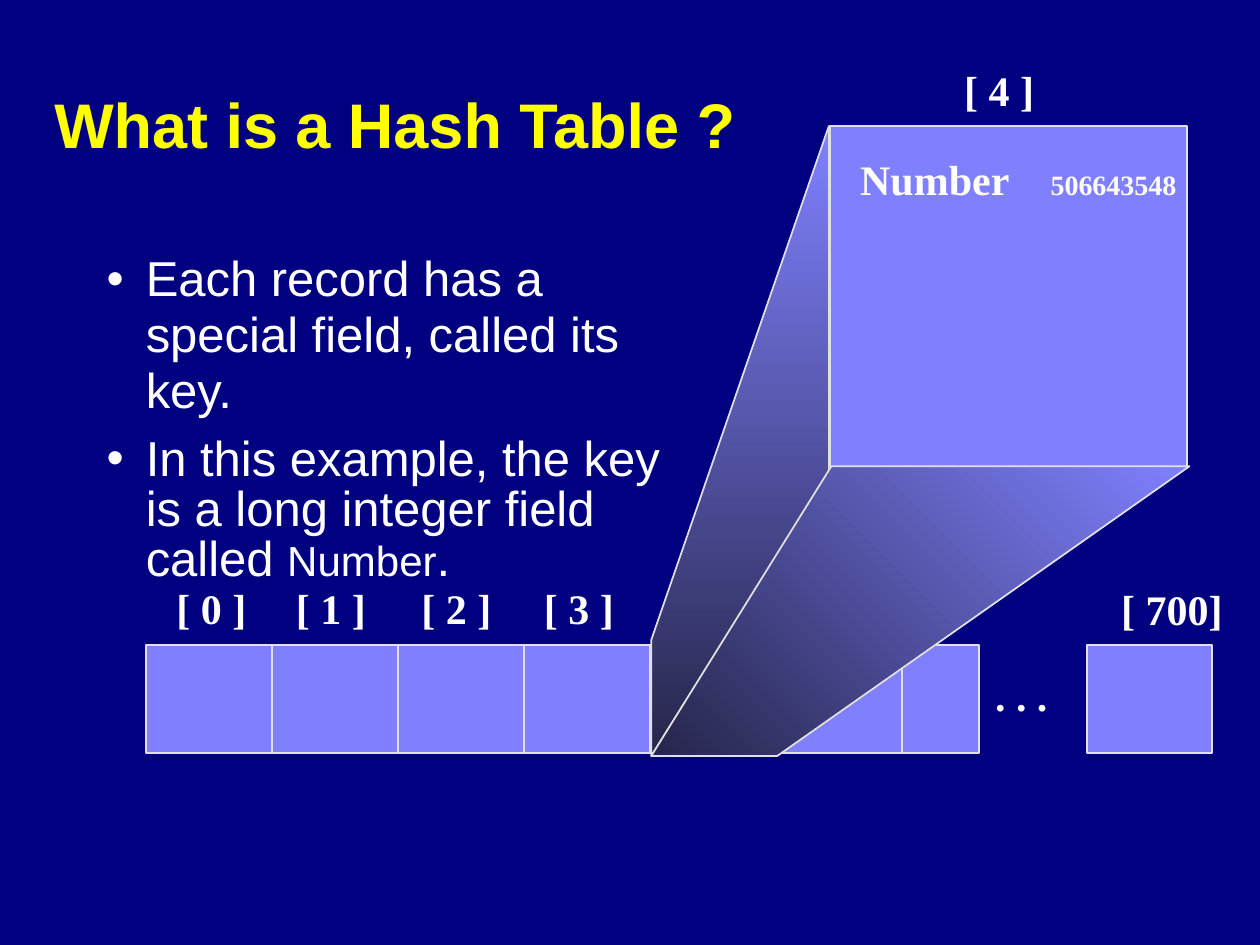
import pptx
import pptx.dml.color
import pptx.enum.shapes
import pptx.enum.text
import pptx.oxml
import pptx.oxml.ns
import pptx.util
from pptx.util import Cm

NAVY, YELLOW, WHITE = "000080", "FFFF00", "FFFFFF"
CELL, EDGE, DARK = "8080FF", "E0E0E0", "26264B"
SANS, SERIF = "Arial", "Times New Roman"
LEFT = pptx.enum.text.PP_ALIGN.LEFT
CENTER = pptx.enum.text.PP_ALIGN.CENTER
ROW_LEFT, ROW_TOP, CELL_SIZE, ROW_HEIGHT = 2.95, 13, 2.54, 2.18
LABEL_TOP = 11.71


def paint(target, color):
    """Give a font, a line or a solid fill its colour."""
    if hasattr(target, "solid"):
        target.solid()
        target = target.fore_color
    else:
        target = target.color
    target.rgb = pptx.dml.color.RGBColor.from_string(color)


def outline(shape):
    """Draw the pale one-point edge and drop the shadow."""
    shape.shadow.inherit = False
    paint(shape.line, EDGE)
    shape.line.width = pptx.util.Pt(1)


def add_span(para, text, size, font=SANS, color=WHITE, bold=False):
    """Append one formatted run."""
    span = para.add_run()
    span.text = text
    span.font.name = font
    span.font.size = pptx.util.Pt(size)
    span.font.bold = bold
    paint(span.font, color)


def add_property(para, xml):
    """Append one drawing element to the paragraph properties."""
    properties = para._p.get_or_add_pPr()
    namespace = pptx.oxml.ns.nsdecls("a")
    properties.append(pptx.oxml.parse_xml(xml.replace("/>", f" {namespace}/>", 1)
                      if xml.count("<") == 1 else xml.replace(">", f" {namespace}>", 1)))


def add_box(page, left, top, width, height):
    """Add a wrapping text box and return its text frame."""
    box = page.shapes.add_textbox(Cm(left), Cm(top), Cm(width), Cm(height))
    box.text_frame.word_wrap = True
    return box.text_frame


def add_label(page, text, left, top, width, align=LEFT):
    """Add a bold serif label and return its paragraph."""
    para = add_box(page, left, top, width, 1.25).paragraphs[0]
    para.alignment = align
    para.line_spacing = 0.93
    add_span(para, text, 24, SERIF, bold=True)
    return para


def add_title(page, text):
    """Place and format the slide title."""
    title = page.shapes.title
    title.left, title.top, title.width, title.height = Cm(0.84), Cm(0.97), Cm(21.59), Cm(3.18)
    title.text_frame.vertical_anchor = pptx.enum.text.MSO_ANCHOR.MIDDLE
    para = title.text_frame.paragraphs[0]
    para.alignment = LEFT
    para.line_spacing = 0.95
    add_span(para, text, 36, color=YELLOW, bold=True)


def add_bullets(page, items):
    """Add the bullet list from pairs of line spacing and runs."""
    frame = add_box(page, 1.9, 4.95, 12.57, 7.09)
    for index, (spacing, spans) in enumerate(items):
        para = frame.add_paragraph() if index else frame.paragraphs[0]
        para.line_spacing = spacing
        para.space_before = pptx.util.Pt(10 if index else 0)
        properties = para._p.get_or_add_pPr()
        properties.set("marL", str(Cm(0.79)))
        properties.set("indent", str(-Cm(0.79)))
        add_property(para, f'<a:buClr><a:srgbClr val="{WHITE}"/></a:buClr>')
        add_property(para, '<a:buFont typeface="Arial"/>')
        add_property(para, '<a:buChar char="•"/>')
        for text, size in spans:
            add_span(para, text, size)


def add_block(page, left, top, width, height):
    """Add one filled and outlined rectangle."""
    block = page.shapes.add_shape(pptx.enum.shapes.MSO_SHAPE.RECTANGLE,
                                  Cm(left), Cm(top), Cm(width), Cm(height))
    paint(block.fill, CELL)
    outline(block)


def add_divider(page, left):
    """Add one vertical line between array cells."""
    divider = page.shapes.add_connector(
        pptx.enum.shapes.MSO_CONNECTOR.STRAIGHT,
        Cm(left), Cm(ROW_TOP), Cm(left), Cm(ROW_TOP + ROW_HEIGHT))
    paint(divider.line, EDGE)
    divider.line.width = pptx.util.Pt(1)
    divider._element.spPr.append(
        pptx.oxml.parse_xml(f'<a:effectLst {pptx.oxml.ns.nsdecls("a")}/>'))


def add_side(page, points, angle):
    """Add a gradient side face through the given corners."""
    corners = [(Cm(x), Cm(y)) for x, y in points]
    builder = page.shapes.build_freeform(*corners[0])
    builder.add_line_segments(corners[1:], close=True)
    side = builder.convert_to_shape()
    side.fill.gradient()
    side.fill.gradient_angle = angle
    for stop, color in zip(side.fill.gradient_stops, (CELL, DARK)):
        stop.color.rgb = pptx.dml.color.RGBColor.from_string(color)
    outline(side)


def add_array(page):
    """Add the row of cells with its index labels."""
    add_block(page, ROW_LEFT, ROW_TOP, 16.79, ROW_HEIGHT)
    for index in range(1, 7):
        add_divider(page, ROW_LEFT + index * CELL_SIZE)
    for index, left in enumerate((3.26, 5.67, 8.2, 10.67)):
        add_label(page, f"[ {index} ]", left, LABEL_TOP, 2, CENTER)
    add_block(page, 21.92, ROW_TOP, 2.51, ROW_HEIGHT)
    add_label(page, ". . .", 19.81, 13.46, 1.68)
    add_label(page, "[ 700]", 22.35, LABEL_TOP + 0.02, 2.8)


def add_record(page):
    """Add the enlarged record and the faces that join it to its cell."""
    add_block(page, 16.74, 2.54, 7.19, 6.88)
    add_side(page, [(13.13, 12.9), (16.71, 2.54), (16.71, 9.52), (13.13, 15.24)], 270)
    add_side(page, [(13.13, 15.24), (16.76, 9.4), (23.98, 9.4), (15.67, 15.24)], 225)
    add_label(page, "[ 4 ]", 19.14, 1.27, 2, CENTER)
    field = add_label(page, "Number", 17.09, 3.07, 7.4)
    add_property(field, f'<a:tabLst><a:tab pos="{Cm(3.84)}" algn="l"/></a:tabLst>')
    add_span(field, "\t506643548", 16, SERIF, bold=True)


def main():
    """Build and save the slide."""
    deck = pptx.Presentation()
    deck.slide_width, deck.slide_height = Cm(25.4), Cm(19.05)
    page = deck.slides.add_slide(deck.slide_layouts.get_by_name("Title Only"))
    paint(page.background.fill, NAVY)
    add_title(page, "What is a Hash Table ?")
    add_bullets(page, [
        (0.95, [("Each record has a special field, called its key.", 28)]),
        (0.85, [("In this example, the key is a long integer field called ", 28),
                ("Number", 24), (".", 28)]),
    ])
    add_array(page)
    add_record(page)
    deck.save("out.pptx")


if __name__ == "__main__":
    main()
